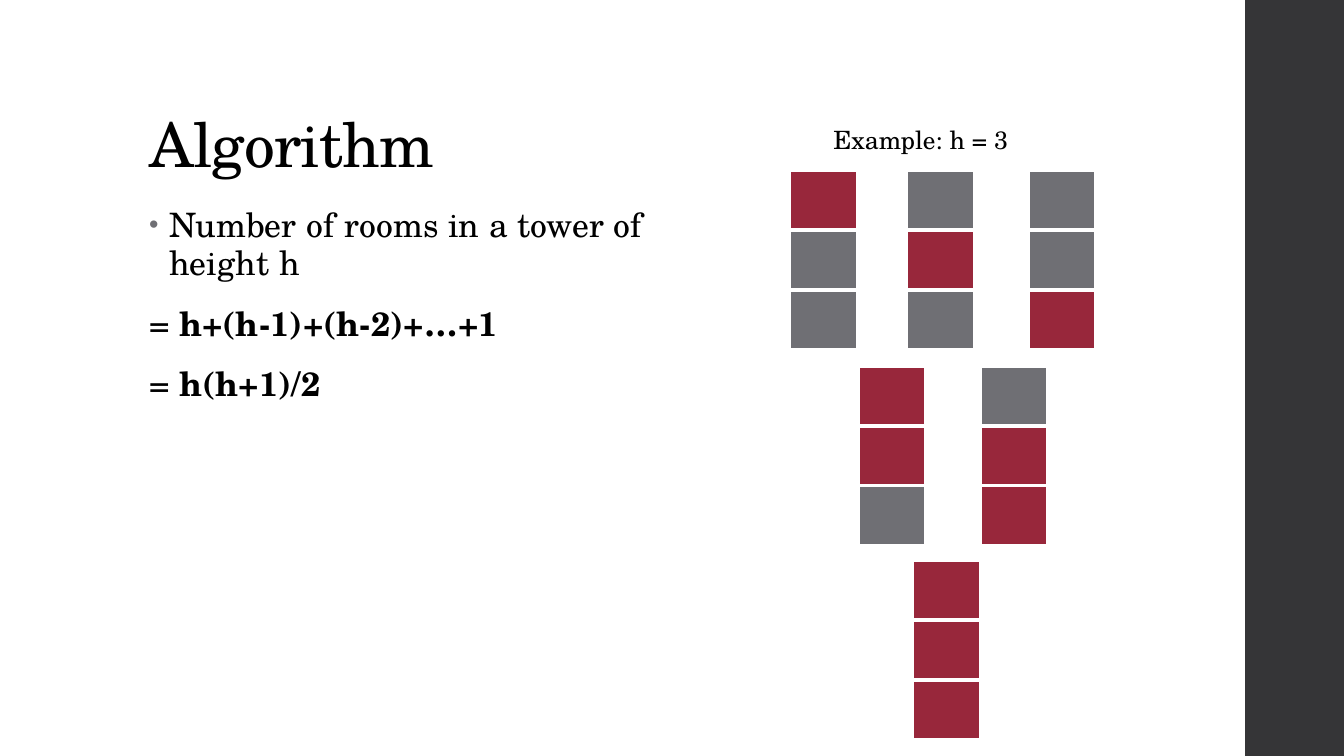
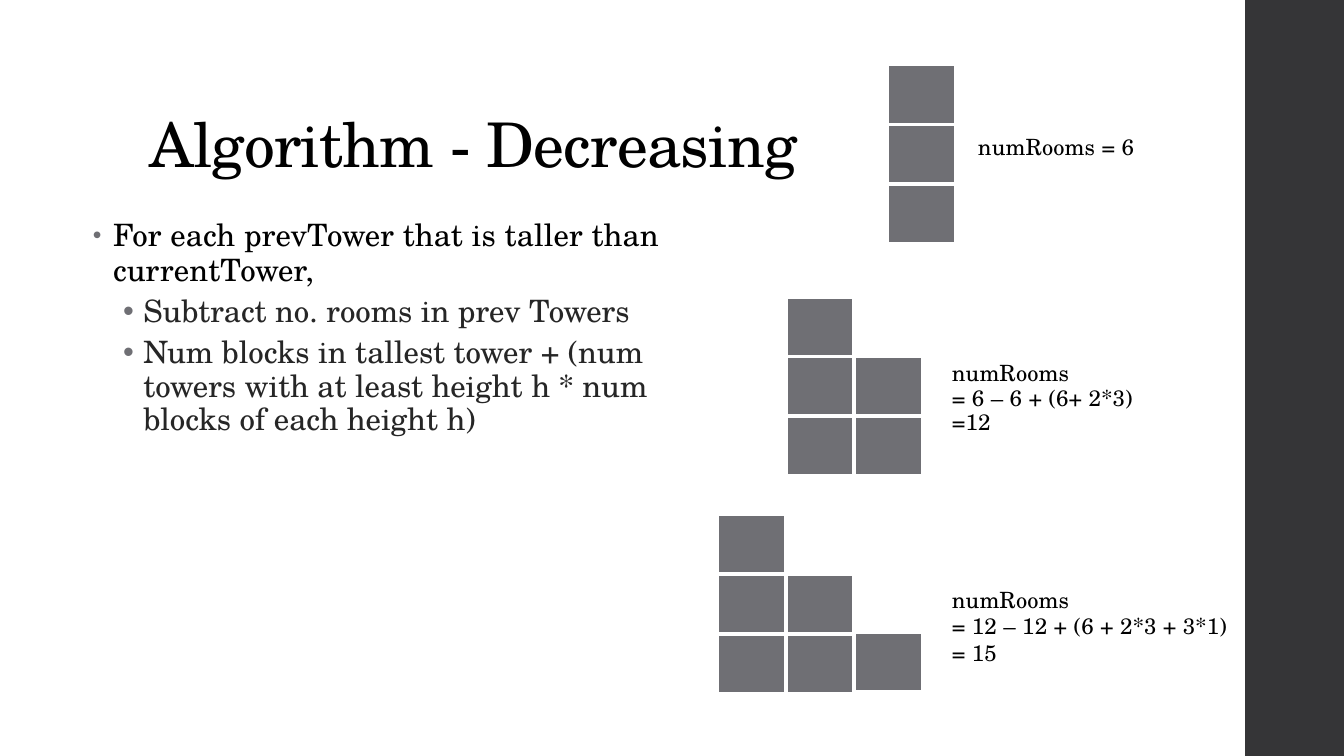
from dataclasses import dataclass
from lxml import etree
from pptx import Presentation
from pptx import util as u
from pptx.dml.color import RGBColor
from pptx.enum import shapes, text
from pptx.oxml import ns


@dataclass
class Style:
    size: int
    color: str = "000000"
    spacing: float = 0.1
    line: float = 1.0
    before: int = 0
    after: int = 0
    indent: float = 0
    bullet: int = 0
    level: int = 0


class Theme:
    font = "TeX Gyre Schola"
    band = "353537"
    bullet = "6F6F74"
    blocks = {"R": "98273B", "G": "6F6F74"}
    border = "FFFFFF"
    border_width = 3
    title = Style(44, spacing=-0.5, line=0.9)
    lead = Style(24, line=0.95, before=14, after=2, indent=0.2, bullet=80)
    formula = Style(24, line=0.95, before=14, after=2)
    point = Style(22, line=0.95, before=14, after=2, indent=0.2, bullet=80)
    sub = Style(22, "262626", 0, 0.9, 3, 3, indent=0.5, bullet=100, level=1)
    caption = Style(18, spacing=0)
    label = Style(16)
    tight_label = Style(16, line=0.9)


COL = u.Inches(0.68)
ROW = u.Inches(1.78 / 3)
TITLE_BOX = (2.03, 0.67, 15.59, 2.44)
BAND_LEFT = 18.16

SLIDES = [
    {
        "title": "Algorithm",
        "texts": [
            ((2.03, 3.37, 7.76, 8.02), [
                (Theme.lead, "Number of rooms in a tower of height h", ""),
                (Theme.formula, "= ", "h+(h-1)+(h-2)+…+1"),
                (Theme.formula, "= ", "h(h+1)/2"),
            ]),
            ((12.01, 1.99, 2.99, 0.67), [(Theme.caption, "Example: h = 3", "")]),
        ],
        "towers": [
            (11.51, 5.85, "RGG"), (13.22, 5.85, "GRG"), (14.99, 5.85, "GGR"),
            (12.51, 9.12, "RRG"), (14.29, 9.12, "GRR"),
            (13.31, 12.37, "RRR"),
        ],
    },
    {
        "title": "Algorithm - Decreasing",
        "texts": [
            ((1.21, 3.57, 8.76, 8.02), [
                (Theme.point, "For each prevTower that is taller than currentTower,", ""),
                (Theme.sub, "Subtract no. rooms in prev Towers", ""),
                (Theme.sub, "Num blocks in tallest tower + (num towers with at least "
                            "height h * num blocks of each height h)", ""),
            ]),
            ((14.12, 2.14, 4.97, 1.35), [(Theme.label, "numRooms = 6", "")]),
            ((13.74, 5.98, 4.97, 1.48), [
                (Theme.tight_label, line, "")
                for line in ("numRooms", "= 6 – 6 + (6+ 2*3)", "=12")
            ]),
            ((13.74, 9.71, 4.97, 1.58), [
                (Theme.label, line, "")
                for line in ("numRooms", "= 12 – 12 + (6 + 2*3 + 3*1)", "= 15")
            ]),
        ],
        "towers": [
            (12.94, 4.08, "GGG"),
            (11.46, 7.96, "GGG"), (12.46, 7.96, "GG"),
            (10.46, 11.6, "GGG"), (11.46, 11.6, "GG"), (12.46, 11.57, "G"),
        ],
    },
]


def place(left, top, cols, rows):
    return int(left * COL), int(top * ROW), int(cols * COL), int(rows * ROW)


def write(tf, lines):
    tf.word_wrap = True
    tf.auto_size = text.MSO_AUTO_SIZE.NONE
    for i, (style, plain, bold) in enumerate(lines):
        p = tf.add_paragraph() if i else tf.paragraphs[0]
        p.text = plain
        if bold:
            r = p.add_run()
            r.text = bold
            r.font.bold = True
        p.alignment = text.PP_ALIGN.LEFT
        p.level = style.level
        p.line_spacing = style.line
        p.space_before = u.Pt(style.before)
        p.space_after = u.Pt(style.after)
        for r in p.runs:
            r.font.name = Theme.font
            r.font.size = u.Pt(style.size)
            r.font.color.rgb = RGBColor.from_string(style.color)
            r.font._element.set("spc", str(int(style.spacing * 100)))
        if style.bullet:
            pPr = p._p.get_or_add_pPr()
            pPr.set("marL", str(u.Inches(style.indent)))
            pPr.set("indent", str(-u.Inches(0.2)))
            color = etree.SubElement(pPr, ns.qn("a:buClr"))
            etree.SubElement(color, ns.qn("a:srgbClr"), val=Theme.bullet)
            etree.SubElement(pPr, ns.qn("a:buSzPct"), val=str(style.bullet * 1000))
            etree.SubElement(pPr, ns.qn("a:buFont"), typeface="Arial")
            etree.SubElement(pPr, ns.qn("a:buChar"), char="•")


prs = Presentation()
prs.slide_width = u.Inches(13.33)
prs.slide_height = u.Inches(7.5)

for content in SLIDES:
    s = prs.slides.add_slide(prs.slide_layouts[5])

    left = int(BAND_LEFT * COL)
    band = s.shapes.add_shape(
        shapes.MSO_SHAPE.RECTANGLE, left, 0, prs.slide_width - left, prs.slide_height)
    band.shadow.inherit = False
    band.fill.solid()
    band.fill.fore_color.rgb = RGBColor.from_string(Theme.band)
    band.line.fill.background()

    title = s.shapes.title
    title.left, title.top, title.width, title.height = place(*TITLE_BOX)
    write(title.text_frame, [(Theme.title, content["title"], "")])
    title.text_frame.vertical_anchor = text.MSO_ANCHOR.BOTTOM

    for box, lines in content["texts"]:
        write(s.shapes.add_textbox(*place(*box)).text_frame, lines)

    for col, bottom, blocks in content["towers"]:
        n = len(blocks)
        table = s.shapes.add_table(n, 1, *place(col, bottom - n, 1, n)).table
        table.first_row = table.horz_banding = False
        for i, block in enumerate(blocks):
            cell = table.cell(i, 0)
            tcPr = cell._tc.get_or_add_tcPr()
            for side in ("lnL", "lnR", "lnT", "lnB"):
                ln = etree.SubElement(
                    tcPr, ns.qn("a:" + side), w=str(u.Pt(Theme.border_width)))
                fill = etree.SubElement(ln, ns.qn("a:solidFill"))
                etree.SubElement(fill, ns.qn("a:srgbClr"), val=Theme.border)
            cell.fill.solid()
            cell.fill.fore_color.rgb = RGBColor.from_string(Theme.blocks[block])

prs.save("out.pptx")
